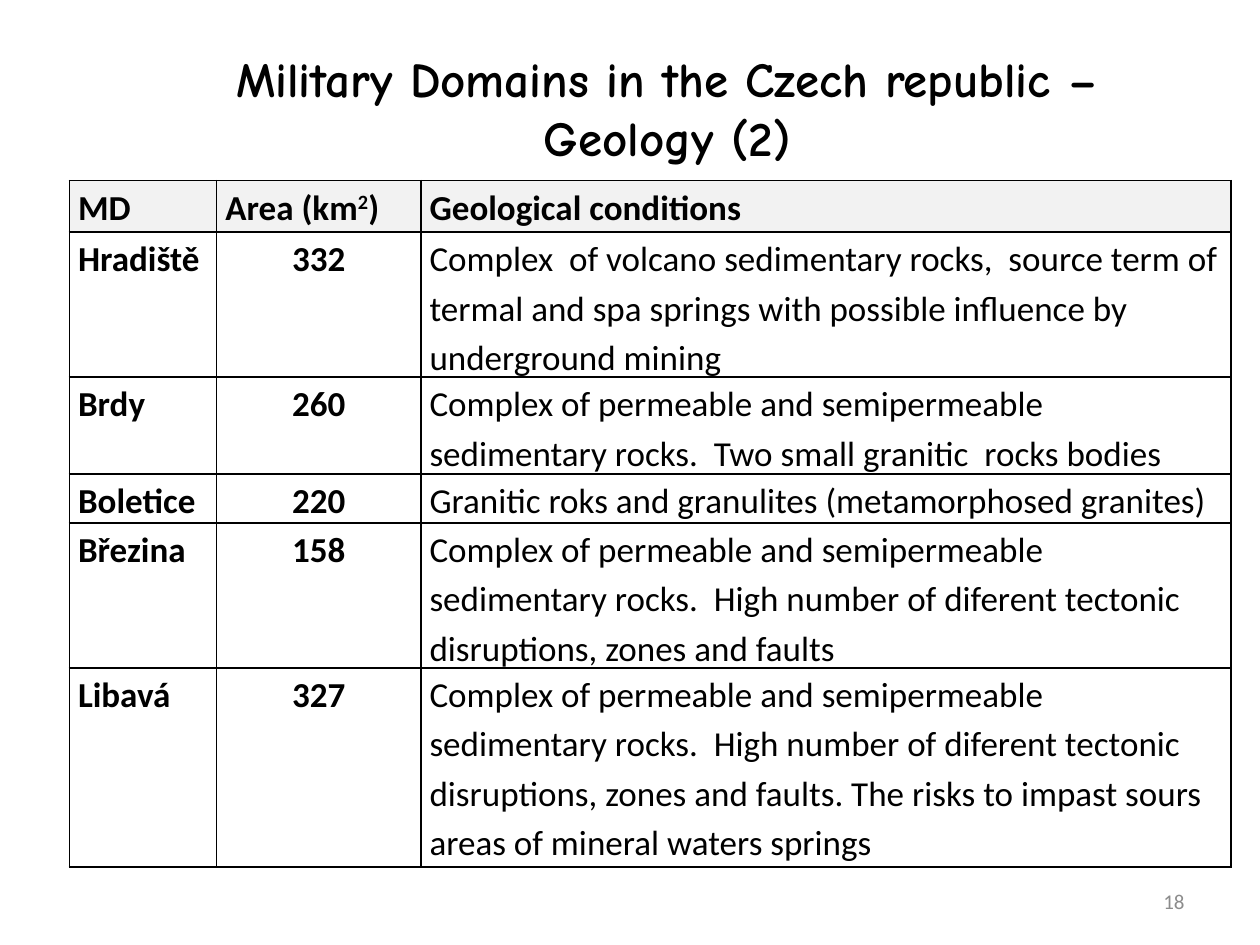
from lxml.etree import SubElement
from pptx import Presentation
from pptx.dml.color import RGBColor
from pptx.enum.text import MSO_ANCHOR as Anchor, PP_ALIGN as Align
from pptx.oxml.ns import qn
from pptx.util import Inches, Pt

WIDTH, HEIGHT = 10, 7.5
BLACK, GREY, HEADER_FILL = "000000", "8C8C8C", "F2F2F2"
COLUMNS = [1.17, 1.62, 6.43]
ROWS = [0.41, 1.09, 0.73, 0.39, 1.09, 1.58]
SEDIMENTS = "Complex of permeable and semipermeable sedimentary rocks.  "
FAULTS = SEDIMENTS + "High number of diferent tectonic disruptions, zones and faults"
HEADER = [["MD"], ["Area (km", "2", ")"], ["Geological conditions"]]
DOMAINS = [
    ("Hradiště", "332", "Complex  of volcano sedimentary rocks,  source term of termal and spa "
     "springs with possible influence by underground mining"),
    ("Brdy", "260", SEDIMENTS + "Two small granitic  rocks bodies"),
    ("Boletice", "220", "Granitic roks and granulites (metamorphosed granites)"),
    ("Březina", "158", FAULTS),
    ("Libavá", "327", FAULTS + ". The risks to impast sours areas of mineral waters springs"),
]


def color(value):
    return RGBColor.from_string(value)


def set_values(target, values):
    for name, value in values.items():
        setattr(target, name, value)


def place(box):
    left, top, width, height = box
    return (Inches(left * WIDTH), Inches(top * HEIGHT),
            Inches(width * WIDTH), Inches(height * HEIGHT))


def add_run(paragraph, text, font, ink=BLACK):
    run = paragraph.add_run()
    run.text = text
    set_values(run.font, font)
    run.font.color.rgb = color(ink)
    return run


def add_label(slide, box, text, align, font, ink=BLACK):
    frame = slide.shapes.add_textbox(*place(box)).text_frame
    set_values(frame, {"word_wrap": True, "vertical_anchor": Anchor.MIDDLE})
    paragraph = frame.paragraphs[0]
    paragraph.alignment = align
    add_run(paragraph, text, font, ink)


def add_borders(cell):
    properties = cell._tc.get_or_add_tcPr()
    for side in ("lnL", "lnR", "lnT", "lnB"):
        line = SubElement(properties, qn(f"a:{side}"), w=str(Pt(1)))
        fill = SubElement(line, qn("a:solidFill"))
        SubElement(fill, qn("a:srgbClr"), val=BLACK)


def fill_cell(cell, parts, align, bold, shade):
    set_values(cell, {"margin_left": Inches(0.07), "margin_right": Inches(0.07),
                      "margin_top": 0, "margin_bottom": 0})
    add_borders(cell)
    if shade:
        cell.fill.solid()
        cell.fill.fore_color.rgb = color(shade)
    else:
        cell.fill.background()
    paragraph = cell.text_frame.paragraphs[0]
    set_values(paragraph, {"alignment": align, "line_spacing": 1.15})
    font = {"name": "Calibri", "size": Pt(20), "bold": bold}
    for index, part in enumerate(parts):
        run = add_run(paragraph, part, font)
        if index == 1:
            run._r.get_or_add_rPr().set("baseline", "30000")


def add_domain_table(slide, box):
    left, top, width, height = place(box)
    table = slide.shapes.add_table(len(ROWS), len(COLUMNS), left, top, width, height).table
    set_values(table, {"first_row": False, "horz_banding": False})
    for column, share in zip(table.columns, COLUMNS):
        column.width = int(width * share / sum(COLUMNS))
    for row, row_height in zip(table.rows, ROWS):
        row.height = Inches(row_height)
    for index, parts in enumerate(HEADER):
        fill_cell(table.cell(0, index), parts, Align.LEFT, True, HEADER_FILL)
    for row, domain in enumerate(DOMAINS, 1):
        for index, text in enumerate(domain):
            align = Align.CENTER if index == 1 else Align.LEFT
            fill_cell(table.cell(row, index), [text], align, index < 2, None)


def main():
    presentation = Presentation()
    set_values(presentation, {"slide_width": Inches(WIDTH), "slide_height": Inches(HEIGHT)})
    slide = presentation.slides.add_slide(presentation.slide_layouts[6])
    add_label(slide, (0.117, 0.03, 0.825, 0.167),
              "Military Domains in the Czech republic – Geology (2)", Align.CENTER,
              {"name": "Comic Neue", "size": Pt(28), "bold": True})
    add_domain_table(slide, (0.055, 0.191, 0.922, 0.725))
    add_label(slide, (0.717, 0.927, 0.233, 0.053), "18", Align.RIGHT,
              {"name": "Calibri", "size": Pt(12)}, GREY)
    presentation.save("out.pptx")


if __name__ == "__main__":
    main()
